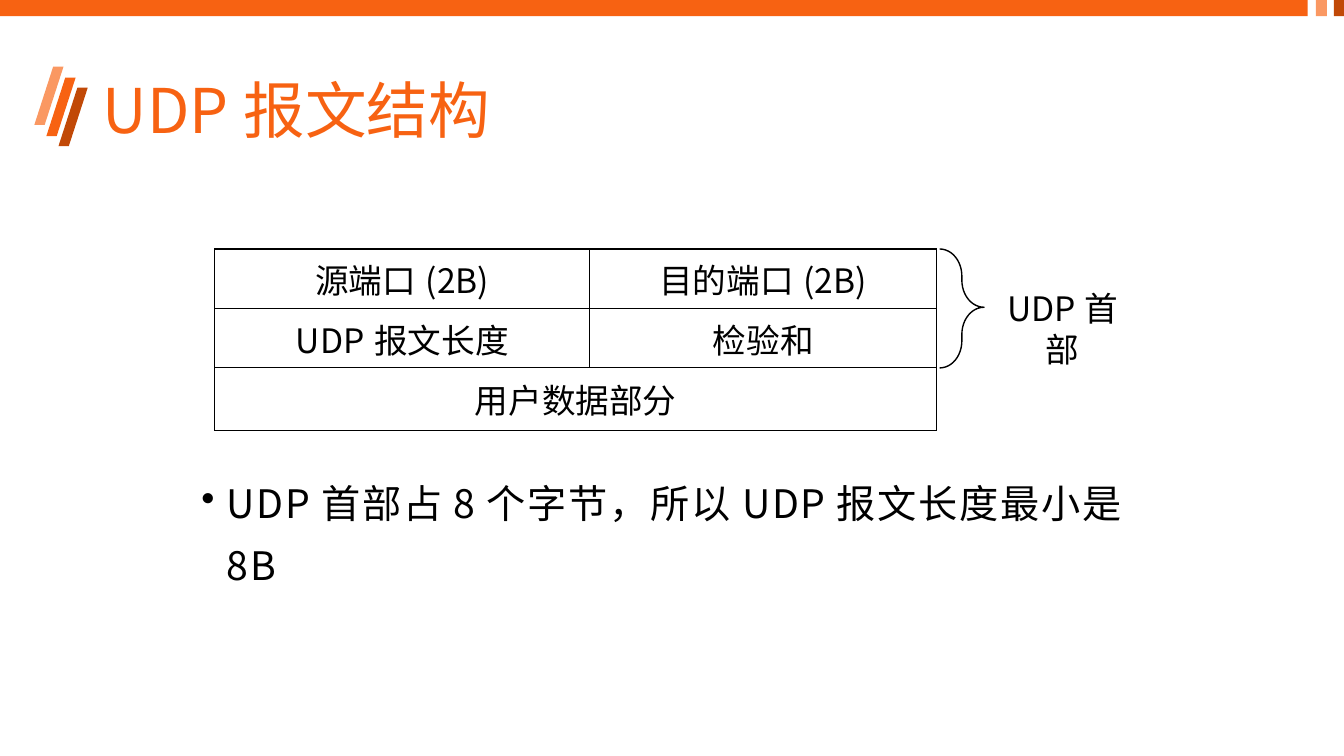
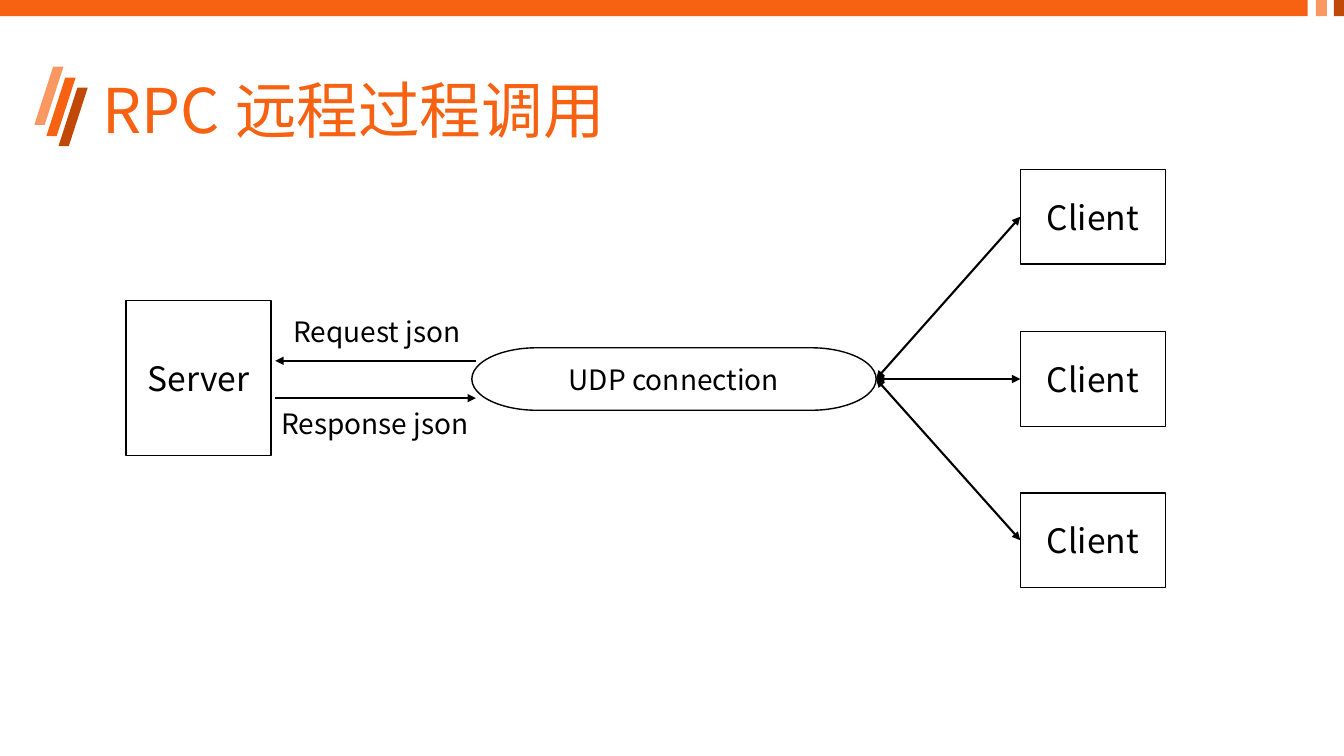
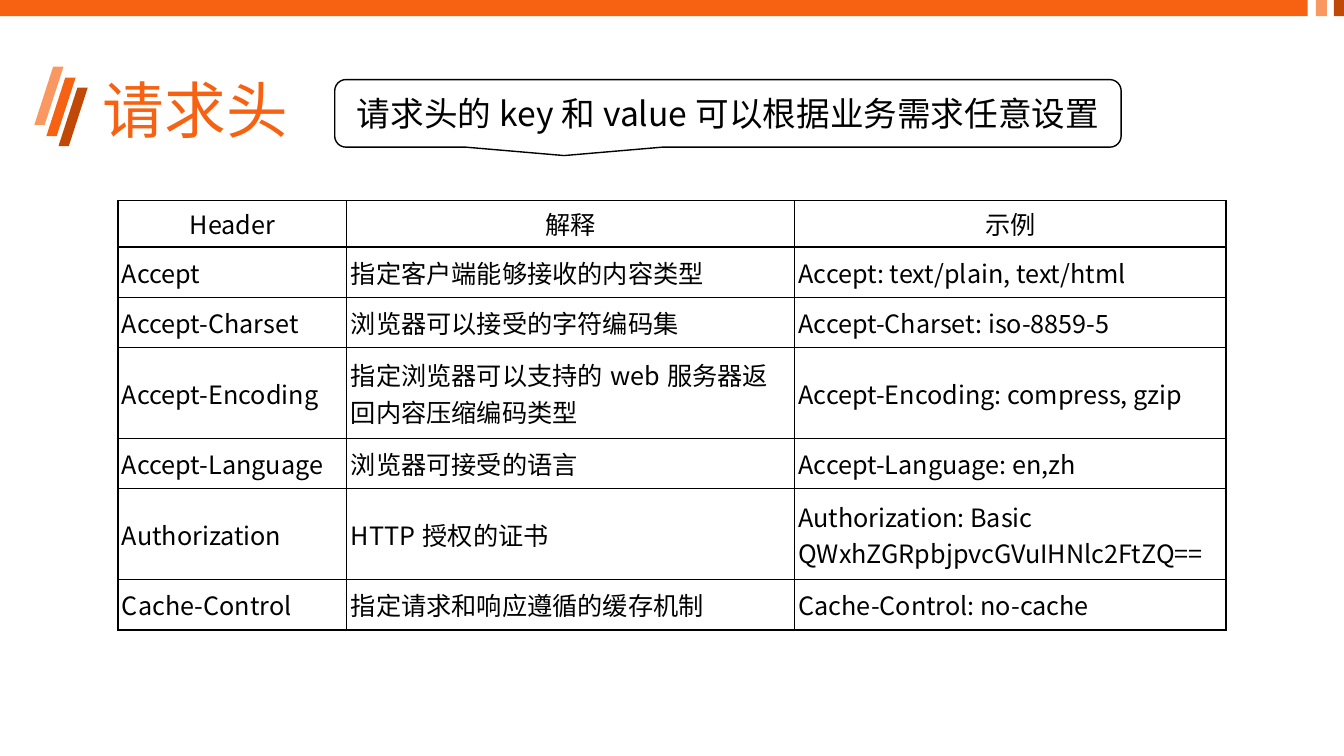
from typing import NamedTuple, Sequence

from lxml.etree import SubElement
from pptx import Presentation
from pptx.dml.color import RGBColor
from pptx.enum.shapes import MSO_CONNECTOR, MSO_SHAPE as SHAPE
from pptx.enum.text import MSO_ANCHOR as ANCHOR, MSO_AUTO_SIZE as AUTO, PP_ALIGN as ALIGN
from pptx.oxml.ns import qn
from pptx.util import Inches, Pt

FONT = "Noto Sans CJK SC"
ORANGE = RGBColor(0xF7, 0x62, 0x12)
LIGHT_ORANGE = RGBColor(0xFA, 0x98, 0x62)
DARK_ORANGE = RGBColor(0xC1, 0x49, 0x07)
BLACK = RGBColor(0, 0, 0)
WHITE = RGBColor(0xFF, 0xFF, 0xFF)
LEFT_SITE, RIGHT_SITE = 1, 3


class Box(NamedTuple):
    left: float
    top: float
    width: float
    height: float

    def lengths(self) -> list:
        return [Inches(v) for v in self]


class Decoration(NamedTuple):
    kind: SHAPE
    box: Box
    color: RGBColor


class Row(NamedTuple):
    height: float
    margins: tuple  # left, top, right, bottom
    align: ALIGN
    texts: Sequence[str]


class Label(NamedTuple):
    text: str
    box: Box
    size: int
    align: ALIGN = ALIGN.LEFT


DECORATIONS = [
    Decoration(SHAPE.PARALLELOGRAM, Box(0.46, 0.77, 0.29, 0.58), ORANGE),
    Decoration(SHAPE.PARALLELOGRAM, Box(0.34, 0.66, 0.29, 0.58), LIGHT_ORANGE),
    Decoration(SHAPE.PARALLELOGRAM, Box(0.58, 0.87, 0.29, 0.58), DARK_ORANGE),
    Decoration(SHAPE.RECTANGLE, Box(0, 0, 12.97, 0.16), ORANGE),
    Decoration(SHAPE.RECTANGLE, Box(13.05, 0, 0.11, 0.16), LIGHT_ORANGE),
    Decoration(SHAPE.RECTANGLE, Box(13.23, 0, 0.11, 0.16), DARK_ORANGE),
]
TITLE_BOX = Box(0.92, 0.4, 11.5, 1.45)

TIGHT = (0.01, 0.01, 0.01, 0)
HEADER_MARGINS = (0.02,) * 4
BODY_MARGINS = (0.04,) * 4
SEGMENT_ROWS = [
    Row(0.59, TIGHT, ALIGN.CENTER, ["源端口(2B)", "目的端口(2B)"]),
    Row(0.59, TIGHT, ALIGN.CENTER, ["UDP报文长度", "检验和"]),
    Row(0.59, (0.14, 0.07, 0.14, 0.07), ALIGN.CENTER, ["用户数据部分"]),
]
HEADER_FIELDS = [
    (0.5, ["Accept", "指定客户端能够接收的内容类型", "Accept: text/plain, text/html"]),
    (0.5, ["Accept-Charset", "浏览器可以接受的字符编码集", "Accept-Charset: iso-8859-5"]),
    (0.9, ["Accept-Encoding", "指定浏览器可以支持的web服务器返回内容压缩编码类型",
           "Accept-Encoding: compress, gzip"]),
    (0.5, ["Accept-Language", "浏览器可接受的语言", "Accept-Language: en,zh"]),
    (0.9, ["Authorization", "HTTP授权的证书",
           "Authorization: Basic QWxhZGRpbjpvcGVuIHNlc2FtZQ=="]),
    (0.5, ["Cache-Control", "指定请求和响应遵循的缓存机制", "Cache-Control: no-cache"]),
]


def write(tf, text: str, size: int, align: ALIGN = ALIGN.LEFT, color: RGBColor = BLACK):
    """Put one run into the first paragraph; return the paragraph and the run."""
    p = tf.paragraphs[0]
    p.alignment = align
    r = p.add_run()
    r.text = text
    r.font.size = Pt(size)
    r.font.name = FONT
    r.font.color.rgb = color
    SubElement(r._r.get_or_add_rPr(), qn("a:ea"), typeface=FONT)
    return p, r


def add_outlined(s, kind: SHAPE, box: Box, text: str = "", size: int = 24):
    """Add a white shape with a thin black line and centred text."""
    sp = s.shapes.add_shape(kind, *box.lengths())
    sp.shadow.inherit = False
    sp.fill.solid()
    sp.fill.fore_color.rgb = WHITE
    sp.line.color.rgb = BLACK
    sp.line.width = Pt(1)
    if text:
        sp.text_frame.vertical_anchor = ANCHOR.MIDDLE
        write(sp.text_frame, text, size, ALIGN.CENTER)
    return sp


def add_label(s, label: Label) -> None:
    tf = s.shapes.add_textbox(*label.box.lengths()).text_frame
    tf.word_wrap = True
    tf.auto_size = AUTO.SHAPE_TO_FIT_TEXT
    write(tf, label.text, label.size, label.align)


def add_bullet(s, box: Box, text: str) -> None:
    tf = s.shapes.add_textbox(*box.lengths()).text_frame
    tf.word_wrap = True
    p, r = write(tf, text, 28)
    p.line_spacing = 1.3
    p.space_before = Pt(10)
    r._r.get_or_add_rPr().set("spc", "130")
    pPr = p._p.get_or_add_pPr()
    pPr.set("marL", str(Inches(0.25)))
    pPr.set("indent", str(-Inches(0.25)))
    SubElement(pPr, qn("a:buChar"), char="•")


def add_arrow(s, x1: float, y1: float, x2: float, y2: float, both_ends: bool = False):
    cxn = s.shapes.add_connector(MSO_CONNECTOR.STRAIGHT, *map(Inches, (x1, y1, x2, y2)))
    cxn.line.color.rgb = BLACK
    cxn.line.width = Pt(1.5)
    ln = cxn.line._get_or_add_ln()
    for tag in ("a:headEnd", "a:tailEnd") if both_ends else ("a:tailEnd",):
        SubElement(ln, qn(tag), type="triangle")
    SubElement(cxn._element.spPr, qn("a:effectLst"))
    return cxn


def add_borders(cell) -> None:
    tcPr = cell._tc.get_or_add_tcPr()
    for side in ("a:lnL", "a:lnR", "a:lnT", "a:lnB"):
        ln = SubElement(tcPr, qn(side), w=str(Pt(1)))
        SubElement(SubElement(ln, qn("a:solidFill")), qn("a:srgbClr"), val=str(BLACK))


def add_grid(s, left: float, top: float, widths: Sequence[float],
             rows: Sequence[Row], size: int) -> None:
    """Add a bordered table; a row with too few texts spans its last one to the right."""
    box = Box(left, top, sum(widths), sum(row.height for row in rows))
    table = s.shapes.add_table(len(rows), len(widths), *box.lengths()).table
    table.first_row = table.horz_banding = False
    for column, width in zip(table.columns, widths):
        column.width = Inches(width)
    for i, row in enumerate(rows):
        table.rows[i].height = Inches(row.height)
        for j in range(len(widths)):
            cell = table.cell(i, j)
            add_borders(cell)
            cell.fill.background()
            cell.vertical_anchor = ANCHOR.MIDDLE
            (cell.margin_left, cell.margin_top,
             cell.margin_right, cell.margin_bottom) = map(Inches, row.margins)
            if j < len(row.texts):
                write(cell.text_frame, row.texts[j], size, row.align)
        if len(row.texts) < len(widths):
            table.cell(i, len(row.texts) - 1).merge(table.cell(i, len(widths) - 1))


def decorate_layout(layout, s) -> None:
    """Build the band and slashes on a slide, then move them to its layout."""
    for item in DECORATIONS:
        sp = s.shapes.add_shape(item.kind, *item.box.lengths())
        sp.shadow.inherit = False
        sp.fill.solid()
        sp.fill.fore_color.rgb = item.color
        sp.line.fill.background()
        if item.kind == SHAPE.PARALLELOGRAM:
            sp.adjustments[0] = 0.646
        layout.shapes.element.append(sp.element)


def add_titled_slide(prs, layout, title: str):
    s = prs.slides.add_slide(layout)
    sp = s.shapes.title
    sp.left, sp.top, sp.width, sp.height = TITLE_BOX.lengths()
    tf = sp.text_frame
    tf.auto_size = AUTO.NONE
    tf.vertical_anchor = ANCHOR.MIDDLE
    p, _ = write(tf, title, 44, color=ORANGE)
    p.line_spacing = 0.9
    return s


def build_segment_slide(s) -> None:
    add_grid(s, 2.13, 2.47, [3.72, 3.44], SEGMENT_ROWS, 24)
    brace = add_outlined(s, SHAPE.RIGHT_BRACE, Box(9.32, 2.47, 0.44, 1.18))
    brace.fill.background()
    brace.adjustments[0] = 0.61
    brace.adjustments[1] = 0.49
    add_label(s, Label("UDP首部", Box(9.76, 2.81, 1.56, 0.5), 24, ALIGN.CENTER))
    add_bullet(s, Box(1.9, 4.57, 9.53, 0.71), "UDP首部占8个字节，所以UDP报文长度最小是8B")


def build_rpc_slide(s) -> None:
    connection = add_outlined(s, SHAPE.FLOWCHART_TERMINATOR, Box(4.68, 3.45, 4.01, 0.62),
                              "UDP connection", 20)
    add_outlined(s, SHAPE.RECTANGLE, Box(1.25, 2.98, 1.44, 1.54), "Server")
    add_arrow(s, 4.72, 3.58, 2.73, 3.58)
    add_arrow(s, 2.73, 3.95, 4.72, 3.95)
    add_label(s, Label("Request json", Box(2.81, 3.07, 1.96, 0.44), 20))
    add_label(s, Label("Response json", Box(2.69, 3.98, 2.17, 0.44), 20))
    for top in (1.68, 3.29, 4.89):
        client = add_outlined(s, SHAPE.RECTANGLE, Box(10.12, top, 1.44, 0.94), "Client")
        arrow = add_arrow(s, 8.69, 3.76, 10.12, top + 0.47, both_ends=True)
        arrow.begin_connect(connection, RIGHT_SITE)
        arrow.end_connect(client, LEFT_SITE)


def build_headers_slide(s) -> None:
    rows = [Row(0.46, HEADER_MARGINS, ALIGN.CENTER, ["Header", "解释", "示例"])]
    rows += [Row(height, BODY_MARGINS, ALIGN.LEFT, texts) for height, texts in HEADER_FIELDS]
    add_grid(s, 1.17, 1.99, [2.27, 4.44, 4.28], rows, 18)
    add_outlined(s, SHAPE.ROUNDED_RECTANGULAR_CALLOUT, Box(3.32, 0.79, 7.8, 0.67),
                 "请求头的key和value可以根据业务需求任意设置")


def main() -> None:
    prs = Presentation()
    prs.slide_width, prs.slide_height = Inches(13.33), Inches(7.5)
    layout = prs.slide_layouts.get_by_name("Title Only")
    slides = [add_titled_slide(prs, layout, title)
              for title in ("UDP报文结构", "RPC远程过程调用", "请求头")]
    decorate_layout(layout, slides[0])
    for build, s in zip((build_segment_slide, build_rpc_slide, build_headers_slide), slides):
        build(s)
    prs.save("out.pptx")


if __name__ == "__main__":
    main()
